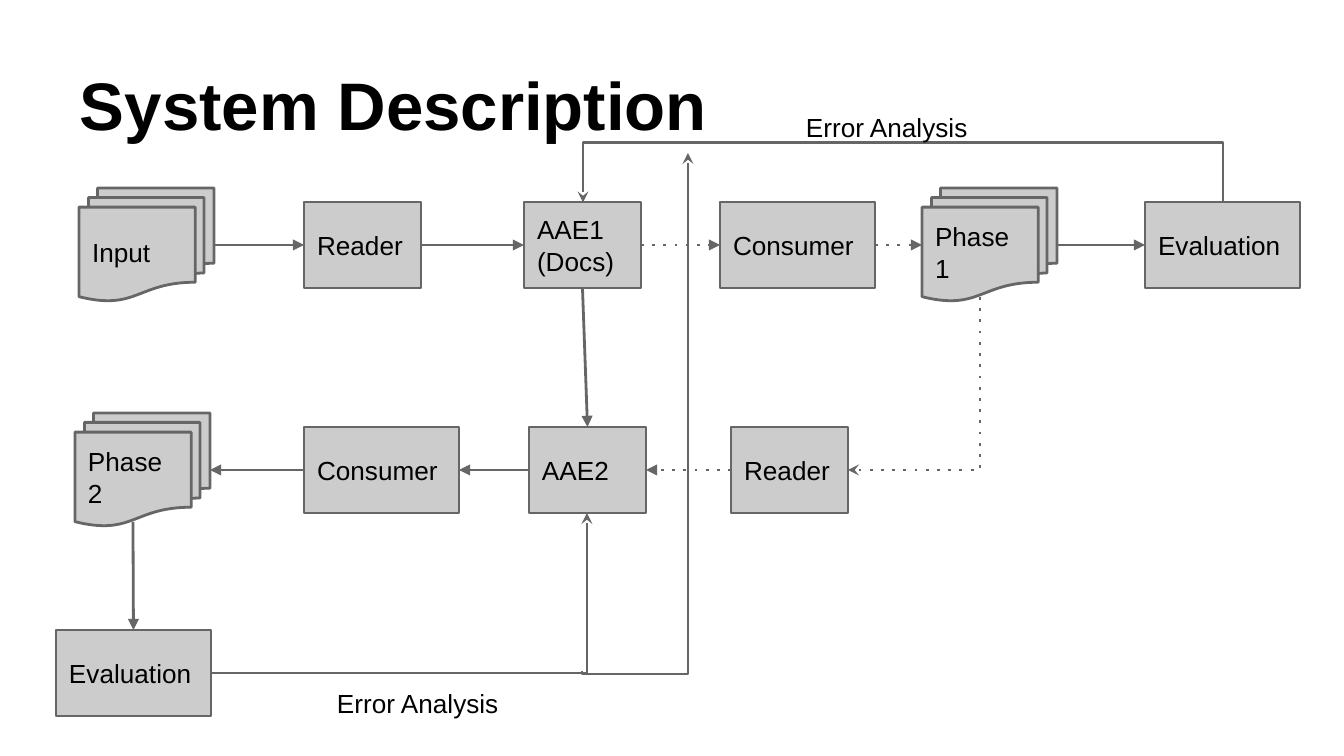
from dataclasses import dataclass

from lxml.etree import SubElement
from pptx import Presentation
from pptx.dml.color import RGBColor
from pptx.enum.shapes import MSO_CONNECTOR, MSO_SHAPE
from pptx.enum.text import MSO_ANCHOR, PP_ALIGN
from pptx.oxml.ns import qn
from pptx.util import Pt

EMU_PER_PX = 914400 / 134.4
TOP, LEFT, BOTTOM, RIGHT = range(4)


@dataclass(frozen=True)
class Theme:
    font: str = "Arial"
    ink: RGBColor = RGBColor(0, 0, 0)
    fill: RGBColor = RGBColor(0xCC, 0xCC, 0xCC)
    stroke: RGBColor = RGBColor(0x66, 0x66, 0x66)
    title_size: int = 36
    body_size: int = 14
    stroke_width: float = 1.5
    inset: int = 13


def px(length):
    return round(length * EMU_PER_PX)


class FlowPage:
    narrow, wide, box_height = 117, 155, 86
    document_width, document_height = 135, 113

    def __init__(self, page, theme):
        self.shapes = page.shapes
        self.theme = theme

    def set_text(self, shape, text, size, anchor, bold=False):
        frame = shape.text_frame
        frame.text = text
        frame.word_wrap = True
        frame.vertical_anchor = anchor
        frame.margin_left = frame.margin_right = px(self.theme.inset)
        frame.margin_top = frame.margin_bottom = px(self.theme.inset)
        for para in frame.paragraphs:
            para.alignment = PP_ALIGN.LEFT
            for span in para.runs:
                span.font.name = self.theme.font
                span.font.size = Pt(size)
                span.font.bold = bold
                span.font.color.rgb = self.theme.ink

    def text(self, text, left, top, width, height, size, anchor=MSO_ANCHOR.TOP, bold=False):
        box = self.shapes.add_textbox(px(left), px(top), px(width), px(height))
        self.set_text(box, text, size, anchor, bold)

    def title(self, text):
        self.text(text, 67, 31, 1210, 126, self.theme.title_size, MSO_ANCHOR.BOTTOM, True)

    def label(self, text, left, top):
        self.text(text, left, top, 263, 36, self.theme.body_size)

    def node(self, kind, text, left, top, width, height):
        shape = self.shapes.add_shape(kind, px(left), px(top), px(width), px(height))
        shape.shadow.inherit = False
        shape.fill.solid()
        shape.fill.fore_color.rgb = self.theme.fill
        shape.line.color.rgb = self.theme.stroke
        shape.line.width = Pt(self.theme.stroke_width)
        self.set_text(shape, text, self.theme.body_size, MSO_ANCHOR.MIDDLE)
        return shape

    def process(self, text, left, top, width):
        return self.node(MSO_SHAPE.FLOWCHART_PROCESS, text, left, top, width, self.box_height)

    def documents(self, text, left, top):
        self.node(MSO_SHAPE.FLOWCHART_MULTIDOCUMENT, text, left, top,
                  self.document_width, self.document_height)

    def style_line(self, line, head, dotted):
        line.line.color.rgb = self.theme.stroke
        line.line.width = Pt(self.theme.stroke_width)
        SubElement(line._element.spPr, qn("a:effectLst"))
        outline = line.get_or_add_ln()
        if dotted:
            SubElement(outline, qn("a:prstDash"), val="dot")
        SubElement(outline, qn("a:tailEnd"), type=head)

    def arrow(self, start, end, dotted=False):
        """Each end is a point (x, y) or a pair (process box, side)."""
        line = self.shapes.add_connector(MSO_CONNECTOR.STRAIGHT, 0, 0, 0, 0)
        if isinstance(start[0], int):
            line.begin_x, line.begin_y = map(px, start)
        else:
            line.begin_connect(*start)
        if isinstance(end[0], int):
            line.end_x, line.end_y = map(px, end)
        else:
            line.end_connect(*end)
        self.style_line(line, "triangle", dotted)

    def elbow(self, start, end, turn, mirrored=False, bend=None, dotted=False):
        """Turn is in degrees; bend is the px from the start to the middle leg."""
        width, height = (abs(b - a) for a, b in zip(start, end))
        if turn in (90, 270):
            width, height = max(height, 1), width
        left = (start[0] + end[0] - width) / 2
        top = (start[1] + end[1] - height) / 2
        line = self.shapes.add_connector(
            MSO_CONNECTOR.ELBOW, px(left), px(top), px(left + width), px(top + height))
        properties = line._element.spPr
        frame = properties.find(qn("a:xfrm"))
        frame.set("rot", str(turn * 60000))
        if mirrored:
            frame.set("flipH", "1")
        geometry = properties.find(qn("a:prstGeom"))
        if bend is None:
            geometry.set("prst", "bentConnector2")
        else:
            guides = geometry.find(qn("a:avLst"))
            if guides is None:
                guides = SubElement(geometry, qn("a:avLst"))
            ratio = round(bend / width * 100000)
            SubElement(guides, qn("a:gd"), name="adj1", fmla=f"val {ratio}")
        self.style_line(line, "stealth", dotted)


def main():
    deck = Presentation()
    deck.slide_width, deck.slide_height = px(1344), px(756)
    flow = FlowPage(deck.slides.add_slide(deck.slide_layouts[6]), Theme())
    first, second, third = 202, 427, 630
    first_axis, second_axis = 245, 470
    document_lift = 14

    flow.title("System Description")
    flow.documents("Input", 79, first - document_lift)
    reader = flow.process("Reader", 304, first, flow.narrow)
    docs_engine = flow.process("AAE1\n(Docs)", 524, first, flow.narrow)
    consumer = flow.process("Consumer", 720, first, flow.wide)
    flow.documents("Phase 1", 922, first - document_lift)
    evaluation = flow.process("Evaluation", 1145, first, flow.wide)

    phase_reader = flow.process("Reader", 731, second, flow.narrow)
    phase_engine = flow.process("AAE2", 529, second, flow.narrow)
    phase_consumer = flow.process("Consumer", 304, second, flow.wide)
    flow.documents("Phase 2", 75, second - document_lift)
    final_evaluation = flow.process("Evaluation", 56, third, flow.wide)

    flow.arrow((214, first_axis), (reader, LEFT))
    flow.arrow((reader, RIGHT), (docs_engine, LEFT))
    flow.arrow((docs_engine, RIGHT), (consumer, LEFT), dotted=True)
    flow.arrow((consumer, RIGHT), (922, first_axis), dotted=True)
    flow.arrow((1057, first_axis), (evaluation, LEFT))
    flow.elbow((980, 297), (848, second_axis), 90, dotted=True)
    flow.arrow((phase_reader, LEFT), (phase_engine, RIGHT), dotted=True)
    flow.arrow((phase_engine, LEFT), (phase_consumer, RIGHT))
    flow.arrow((phase_consumer, LEFT), (210, second_axis))
    flow.arrow((133, 522), (final_evaluation, TOP))
    flow.arrow((docs_engine, BOTTOM), (phase_engine, TOP))

    flow.elbow((1223, first), (583, first), 90, bend=-59)
    flow.elbow((211, 673), (587, 513), 180, mirrored=True)
    flow.elbow((582, 671), (688, 153), 270, bend=-3)
    flow.label("Error Analysis", 793, 98)
    flow.label("Error Analysis", 324, 674)
    deck.save("out.pptx")


if __name__ == "__main__":
    main()
